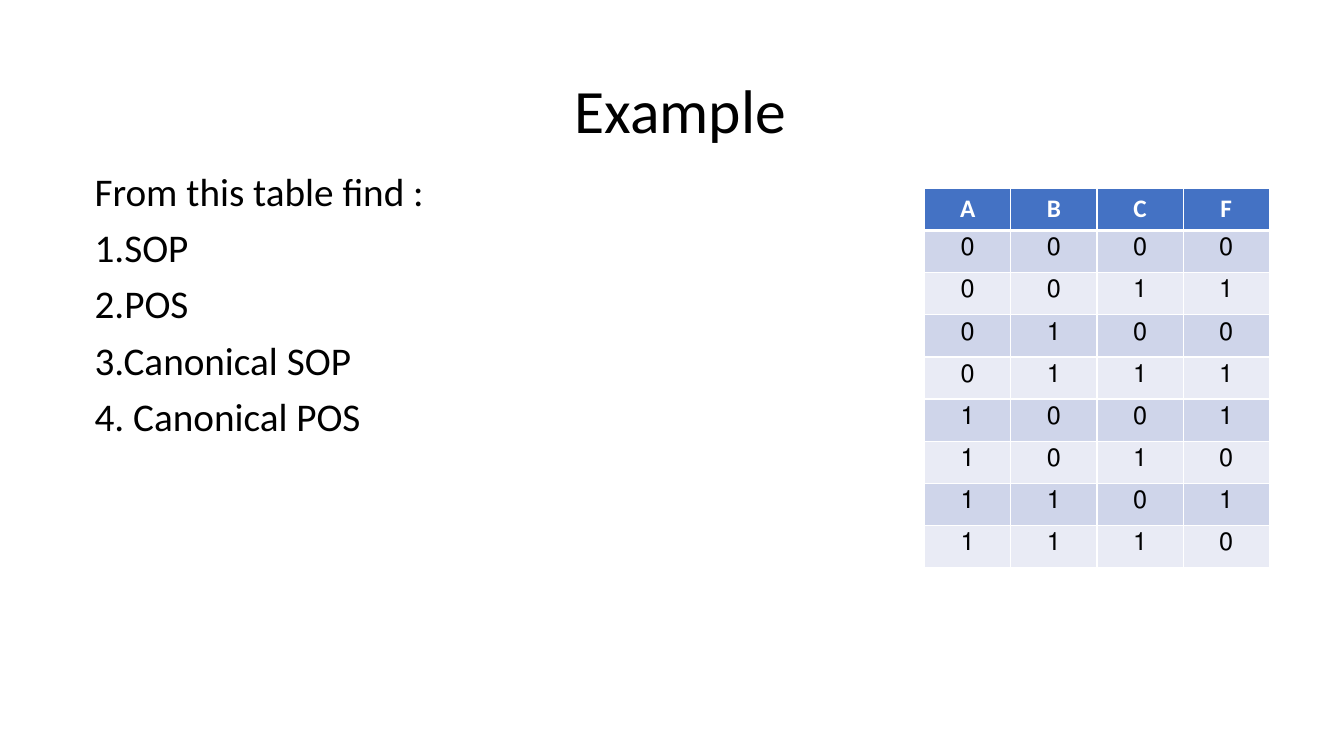
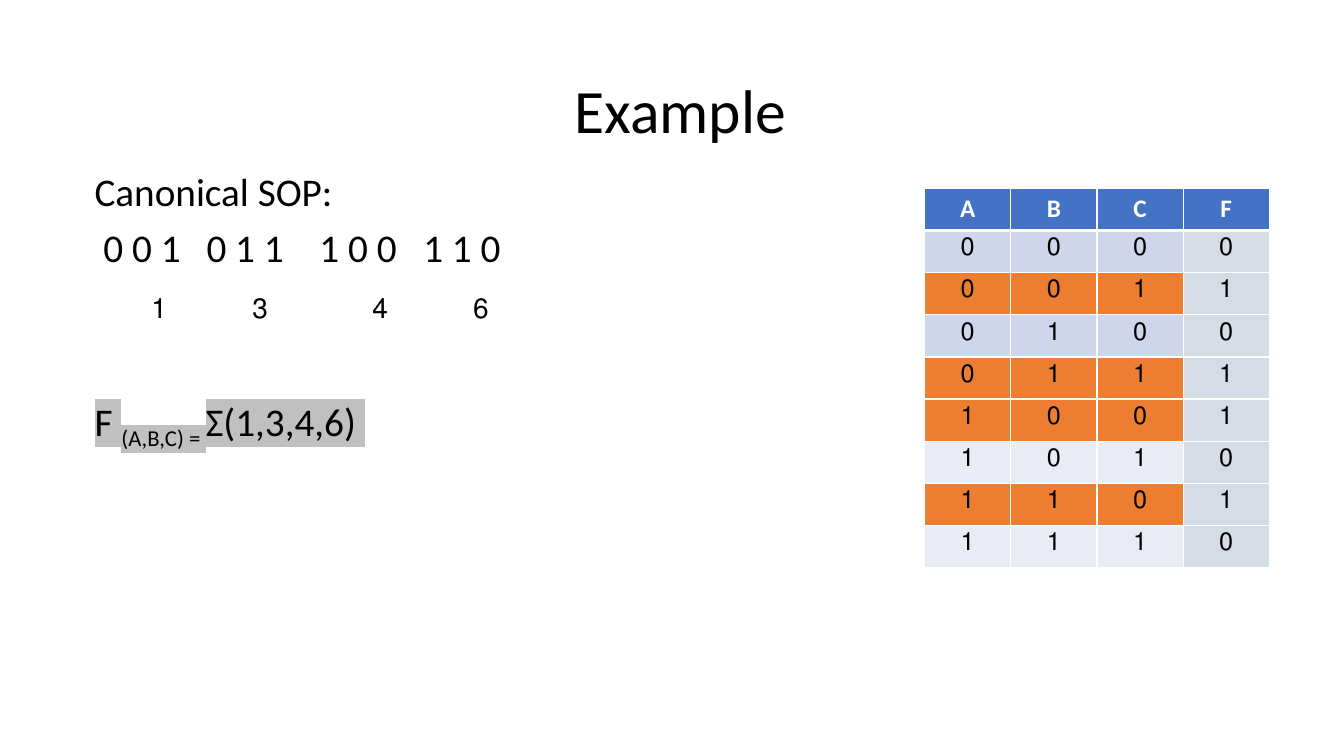
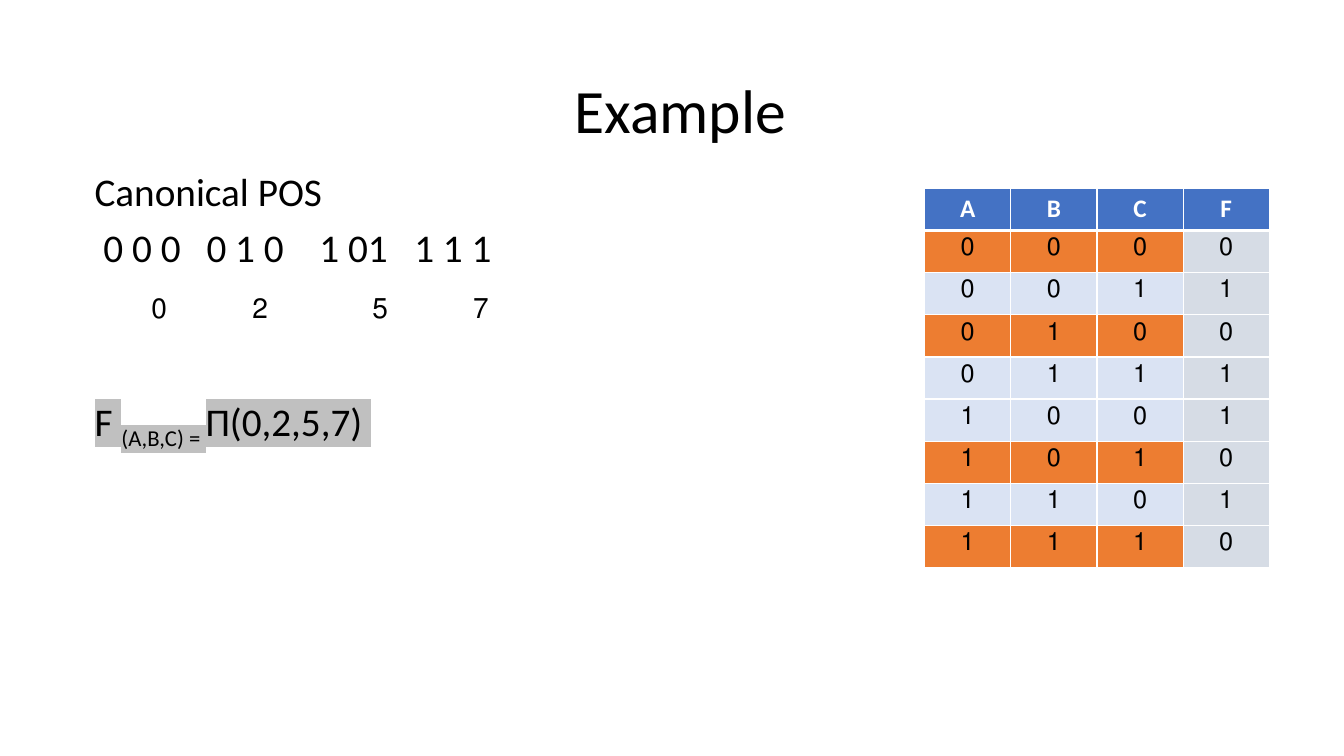
from itertools import product

from lxml.etree import SubElement
from pptx import Presentation
from pptx.dml.color import RGBColor
from pptx.enum.text import MSO_ANCHOR, MSO_AUTO_SIZE, PP_ALIGN
from pptx.oxml import parse_xml
from pptx.oxml.ns import nsdecls, qn
from pptx.util import Inches, Pt

FONT = "Calibri"
BLACK, WHITE = "000000", "FFFFFF"
HEADER, BANDS = "4472C4", ("CFD5EA", "E9EBF5")
PLAIN, MARKED, OUTPUT, HIGHLIGHT = "DAE3F3", "ED7D31", "D6DCE5", "C0C0C0"

TITLE_BOX = (0.92, 0.4, 11.5, 1.45)
WIDE_BODY = (0.84, 1.66, 11.5, 5)
NARROW_BODY = (0.84, 1.66, 7.62, 5)
TABLE_BOX = (9.17, 1.87, 3.42, 3.76)

VARIABLES = "ABCF"
OUTPUTS = (0, 1, 0, 1, 1, 0, 1, 0)
TRUTH_ROWS = [(*bits, out) for bits, out in zip(product((0, 1), repeat=3), OUTPUTS)]

BODY_PARAGRAPH = {"line_spacing": 0.9, "space_before": Pt(10)}
FORMULA_PARAGRAPH = {"line_spacing": 0.9, "space_before": Pt(91)}
CENTRED = {"alignment": PP_ALIGN.CENTER}


def color(hex_value):
    return RGBColor.from_string(hex_value)


def apply_format(target, values):
    for name, value in values.items():
        setattr(target, name, value)


def lengths(box):
    return [Inches(value) for value in box]


def add_run(paragraph, text, size, ink=BLACK, **extras):
    run = paragraph.add_run()
    run.text = text
    apply_format(run.font, {"name": FONT, "size": Pt(size), **extras})
    run.font.color.rgb = color(ink)
    return run


def add_centred_rtl(paragraph, text, size, ink=BLACK, **extras):
    apply_format(paragraph, CENTRED)
    paragraph._p.get_or_add_pPr().set("rtl", "1")
    add_run(paragraph, text, size, ink, **extras)


def add_text_frame(slide, box):
    frame = slide.shapes.add_textbox(*lengths(box)).text_frame
    frame.word_wrap = True
    return frame


def add_title(slide, box):
    title = slide.shapes.title
    apply_format(title, dict(zip(("left", "top", "width", "height"), lengths(box))))
    frame = title.text_frame
    apply_format(frame, {"vertical_anchor": MSO_ANCHOR.MIDDLE, "word_wrap": True,
                         "auto_size": MSO_AUTO_SIZE.NONE})
    heading = frame.paragraphs[0]
    heading.line_spacing = 0.9
    add_centred_rtl(heading, "Example ", 44)


def add_lines(slide, box, lines):
    frame = add_text_frame(slide, box)
    for index, line in enumerate(lines):
        paragraph = frame.add_paragraph() if index else frame.paragraphs[0]
        apply_format(paragraph, BODY_PARAGRAPH)
        add_run(paragraph, line, 28)
    return frame


def add_tab_stops(paragraph, stops):
    tab_list = SubElement(paragraph._p.get_or_add_pPr(), qn("a:tabLst"))
    for stop in stops:
        SubElement(tab_list, qn("a:tab"), pos=str(Inches(stop)), algn="l")


def add_formula(frame, terms):
    formula = frame.add_paragraph()
    apply_format(formula, FORMULA_PARAGRAPH)
    for text, baseline in (("F ", None), ("(A,B,C) = ", "-25000"), (terms + " ", None)):
        properties = add_run(formula, text, 28)._r.get_or_add_rPr()
        if baseline:
            properties.set("baseline", baseline)
        properties.find(qn("a:solidFill")).addnext(parse_xml(
            f'<a:highlight {nsdecls("a")}><a:srgbClr val="{HIGHLIGHT}"/></a:highlight>'))


def add_canonical_form(slide, box, heading, codes, stops, indices, terms):
    frame = add_lines(slide, box, (heading, " " + "\t".join(codes)))
    add_tab_stops(frame.paragraphs[1], stops)
    add_formula(frame, terms)
    left, top = box[:2]
    for offset, index in zip((0.24, 1.24, 2.43, 3.43), indices):
        label = add_text_frame(slide, (left + offset, top + 1.17, 1, 0.44))
        add_centred_rtl(label.paragraphs[0], str(index), 20)


def set_borders(cell, widths):
    properties = cell._tc.get_or_add_tcPr()
    for position, (side, points) in enumerate(zip("LRTB", widths)):
        properties.insert(position, parse_xml(
            f'<a:ln{side} {nsdecls("a")} w="{Pt(points)}"><a:solidFill>'
            f'<a:srgbClr val="{WHITE}"/></a:solidFill></a:ln{side}>'))


def fill_cell(cell, text, fill, ink, bold, borders):
    cell.fill.solid()
    cell.fill.fore_color.rgb = color(fill)
    set_borders(cell, borders)
    add_centred_rtl(cell.text_frame.paragraphs[0], text, 18, ink, bold=bold)


def add_truth_table(slide, box, marked_output=None, fills=BANDS):
    row_count, column_count = len(TRUTH_ROWS) + 1, len(VARIABLES)
    left, top, width, height = lengths(box)
    table = slide.shapes.add_table(row_count, column_count, left, top, width, height).table
    for column in table.columns:
        column.width = width // column_count
    for row in table.rows:
        row.height = height // row_count
    for column, variable in enumerate(VARIABLES):
        fill_cell(table.cell(0, column), variable, HEADER, WHITE, True, (1, 1, 1, 3))
    for index, values in enumerate(TRUTH_ROWS):
        row_fill = MARKED if values[-1] == marked_output else fills[index % len(fills)]
        borders = (1, 1, 1 if index else 3, 1)
        for column, value in enumerate(values):
            is_output = marked_output is not None and column == column_count - 1
            fill_cell(table.cell(index + 1, column), str(value),
                      OUTPUT if is_output else row_fill, BLACK, False, borders)


def add_example_slide(deck):
    slide = deck.slides.add_slide(deck.slide_layouts[5])
    add_title(slide, TITLE_BOX)
    return slide


def main():
    deck = Presentation()
    apply_format(deck, {"slide_width": Inches(13.33), "slide_height": Inches(7.5)})

    question = add_example_slide(deck)
    add_lines(question, WIDE_BODY, ("From this table find :", "1.SOP", "2.POS",
                                    "3.Canonical SOP", "4. Canonical POS"))
    add_truth_table(question, TABLE_BOX)

    sum_of_products = add_example_slide(deck)
    add_canonical_form(sum_of_products, NARROW_BODY, "Canonical SOP:",
                       ("0 0 1", "0 1 1", "1 0 0", "1 1 0"), (1.11, 2.23, 3.26),
                       (1, 3, 4, 6), "Σ(1,3,4,6)")
    add_truth_table(sum_of_products, TABLE_BOX, marked_output=1)

    product_of_sums = add_example_slide(deck)
    add_canonical_form(product_of_sums, NARROW_BODY, "Canonical POS",
                       ("0 0 0", "0 1 0", "1 01", "1 1 1"), (1.11, 2.23, 3.17),
                       (0, 2, 5, 7), "Π(0,2,5,7)")
    add_truth_table(product_of_sums, TABLE_BOX, marked_output=0, fills=(PLAIN,))

    deck.save("out.pptx")


if __name__ == "__main__":
    main()
